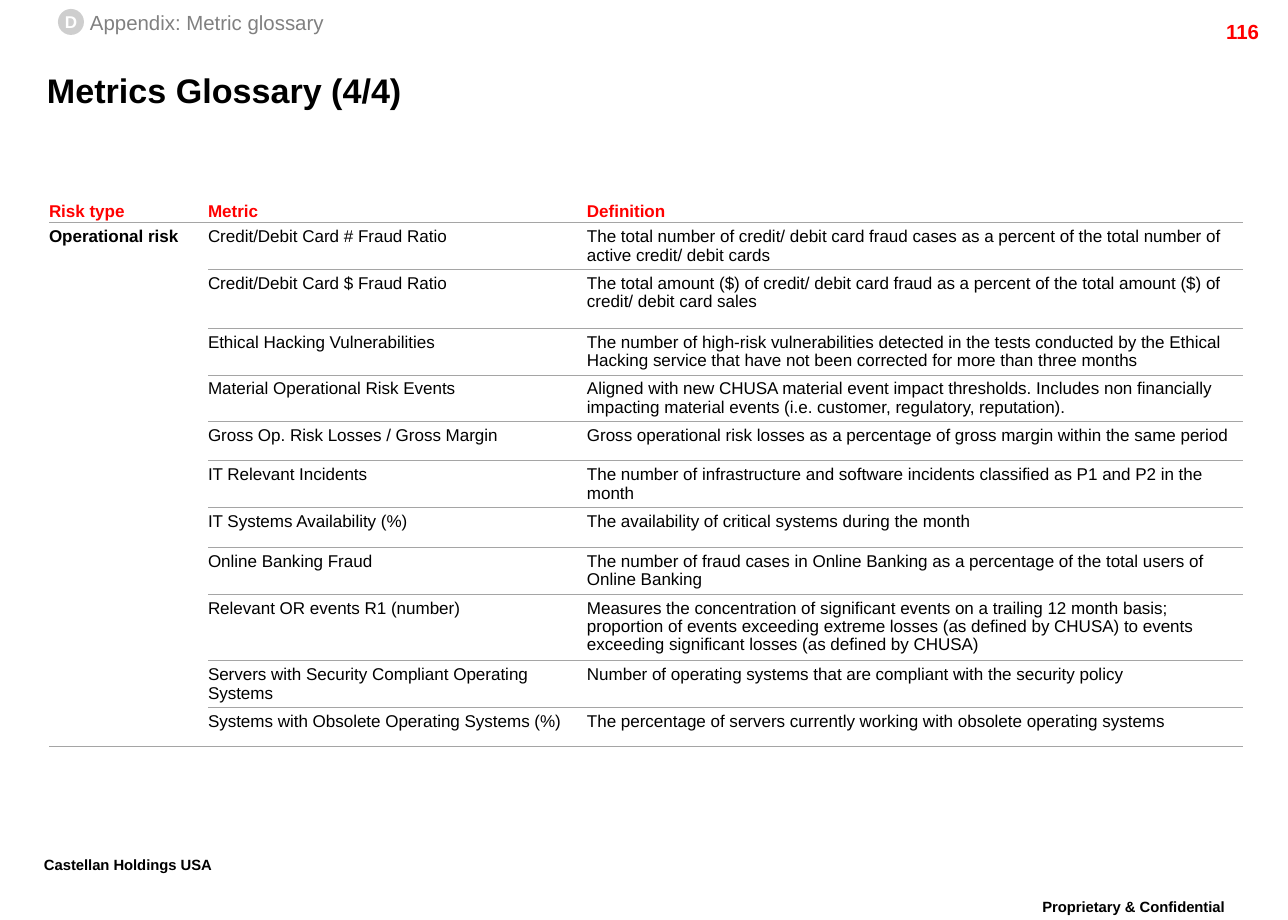
from lxml.etree import SubElement
from pptx import Presentation
from pptx.dml.color import RGBColor
from pptx.enum.shapes import MSO_SHAPE as Shape
from pptx.enum.text import MSO_ANCHOR as Anchor, PP_ALIGN as Align
from pptx.oxml.ns import qn
from pptx.util import Inches, Pt

# Content
HEADERS = ("Risk type", "Metric", "Definition")
RISK_TYPE = "Operational risk"
METRICS = [  # metric, definition, row height in px
    ("Credit/Debit Card # Fraud Ratio",
     "The total number of credit/ debit card fraud cases as a percent of the total number of "
     "active credit/ debit cards", 45),
    ("Credit/Debit Card $ Fraud Ratio",
     "The total amount ($) of credit/ debit card fraud as a percent of the total amount ($) of "
     "credit/ debit card sales", 59),
    ("Ethical Hacking Vulnerabilities",
     "The number of high-risk vulnerabilities detected in the tests conducted by the Ethical "
     "Hacking service that have not been corrected for more than three months", 45),
    ("Material Operational Risk Events",
     "Aligned with new CHUSA material event impact thresholds. Includes non financially "
     "impacting material events (i.e. customer, regulatory, reputation).", 46),
    ("Gross Op. Risk Losses / Gross Margin",
     "Gross operational risk losses as a percentage of gross margin within the same period", 39),
    ("IT Relevant Incidents",
     "The number of infrastructure and software incidents classified as P1 and P2 in the month",
     45),
    ("IT Systems Availability (%)",
     "The availability of critical systems during the month", 40),
    ("Online Banking Fraud",
     "The number of fraud cases in Online Banking as a percentage of the total users of "
     "Online Banking", 45),
    ("Relevant OR events R1 (number)",
     "Measures the concentration of significant events on a trailing 12 month basis; "
     "proportion of events exceeding extreme losses (as defined by CHUSA) to events "
     "exceeding significant losses (as defined by CHUSA)", 64),
    ("Servers with Security Compliant Operating Systems",
     "Number of operating systems that are compliant with the security policy", 46),
    ("Systems with Obsolete Operating Systems (%)",
     "The percentage of servers currently working with obsolete operating systems", 39),
]

# Formats
BLACK = RGBColor(0x00, 0x00, 0x00)
WHITE = RGBColor(0xFF, 0xFF, 0xFF)
RED = RGBColor(0xFF, 0x00, 0x00)
GREY = RGBColor(0x80, 0x80, 0x80)
BADGE_GREY = RGBColor(0xCE, 0xCE, 0xCE)
RULE_GREY = RGBColor(0xA5, 0xA5, 0xA5)
HEADER = dict(size=Pt(10), bold=True, color=RED)
RISK = dict(HEADER, color=BLACK)
BODY = dict(RISK, bold=False)
BADGE = dict(HEADER, color=WHITE)
NUMBER = dict(size=Pt(12), bold=True, color=RED)
SECTION = dict(size=Pt(12), bold=False, color=GREY)
TITLE = dict(size=Pt(20), bold=True, color=BLACK)
FOOTER = dict(size=Pt(15), bold=True, color=BLACK)
LINE_SPACING = 0.97
NO_STYLE = "{2D5ABB26-0587-4C30-8999-92F81FD0307C}"

# Layout in px
PX = Inches(10.5) / 1288
TABLE_LEFT, TABLE_TOP = 49, 196
COLUMNS = (159, 379, 656)
HEADER_HEIGHT = 26
TEXT_BOXES = [  # text, format, left/top/width/height, alignment, anchor, side inset, top inset
    ("Proprietary & Confidential", FOOTER, (1000, 890, 267, 43), Align.CENTER, Anchor.TOP, 12, 6),
    ("Castellan Holdings USA", FOOTER, (32, 848, 234, 43), Align.LEFT, Anchor.TOP, 12, 6),
    ("116", NUMBER, (1148, 13, 123, 30), Align.RIGHT, Anchor.TOP, 12, 6),
    ("Metrics Glossary (4/4)", TITLE, (47, 60, 1163, 59), Align.LEFT, Anchor.MIDDLE, 0, 0),
    ("Appendix: Metric glossary", SECTION, (90, 10, 260, 25), Align.LEFT, Anchor.MIDDLE, 0, 0),
]


def px(*lengths):
    return [round(length * PX) for length in lengths]


def write(frame, text, look, align=Align.LEFT):
    para = frame.paragraphs[0]
    para.alignment = align
    span = para.add_run()
    span.text = text
    span.font.name = "Arial"
    for name, value in look.items():
        if name == "color":
            span.font.color.rgb = value
        else:
            setattr(span.font, name, value)
    if look in (FOOTER, HEADER, RISK, BODY):
        para.line_spacing = LINE_SPACING
    if look is FOOTER:
        span.font._element.set("baseline", "30000")


def set_margins(target, side, top, bottom):
    names = ("margin_left", "margin_right", "margin_top", "margin_bottom")
    for name, length in zip(names, px(side, side, top, bottom)):
        setattr(target, name, length)


def add_rule(cell, edge):
    line = SubElement(cell._tc.get_or_add_tcPr(), qn(f"a:{edge}"), w=str(Pt(0.75)))
    fill = SubElement(line, qn("a:solidFill"))
    SubElement(fill, qn("a:srgbClr"), val=str(RULE_GREY))


def fill_cell(cell, text, look):
    set_margins(cell, 0, 5, 2)
    cell.vertical_anchor = Anchor.BOTTOM if look is HEADER else Anchor.TOP
    write(cell.text_frame, text, look)


def add_glossary(page):
    heights = [HEADER_HEIGHT] + [height for _, _, height in METRICS]
    area = px(TABLE_LEFT, TABLE_TOP, sum(COLUMNS), sum(heights))
    table = page.shapes.add_table(len(heights), len(COLUMNS), *area).table
    table._tbl.tblPr.find(qn("a:tableStyleId")).text = NO_STYLE
    table.first_row = table.horz_banding = False
    for column, width in zip(table.columns, px(*COLUMNS)):
        column.width = width
    for row, height in zip(table.rows, px(*heights)):
        row.height = height

    # Wording
    last = len(METRICS)
    table.cell(1, 0).merge(table.cell(last, 0))
    for c, header in enumerate(HEADERS):
        fill_cell(table.cell(0, c), header, HEADER)
    fill_cell(table.cell(1, 0), RISK_TYPE, RISK)
    for r, (metric, definition, _) in enumerate(METRICS, 1):
        fill_cell(table.cell(r, 1), metric, BODY)
        fill_cell(table.cell(r, 2), definition, BODY)

    # Rules under the rows, then clear fills
    for r in range(last + 1):
        for c in range(len(COLUMNS)):
            cell = table.cell(r, c)
            if c or r in (0, 1, last):
                add_rule(cell, "lnB")
            cell.fill.background()


def main():
    deck = Presentation()
    deck.slide_width, deck.slide_height = Inches(10.5), Inches(7.5)
    page = deck.slides.add_slide(deck.slide_layouts[6])

    # Title, section, page number and footers
    for text, look, area, align, anchor, side, top in TEXT_BOXES:
        frame = page.shapes.add_textbox(*px(*area)).text_frame
        frame.word_wrap = True
        frame.vertical_anchor = anchor
        set_margins(frame, side, top, top)
        write(frame, text, look, align)

    # Section badge
    badge = page.shapes.add_shape(Shape.OVAL, *px(58, 9, 26, 26))
    badge.shadow.inherit = False
    badge.fill.solid()
    badge.fill.fore_color.rgb = BADGE_GREY
    badge.line.fill.background()
    badge.text_frame.word_wrap = False
    badge.text_frame.vertical_anchor = Anchor.MIDDLE
    set_margins(badge.text_frame, 0, 0, 0)
    write(badge.text_frame, "D", BADGE, Align.CENTER)

    add_glossary(page)
    deck.save("out.pptx")


if __name__ == "__main__":
    main()
